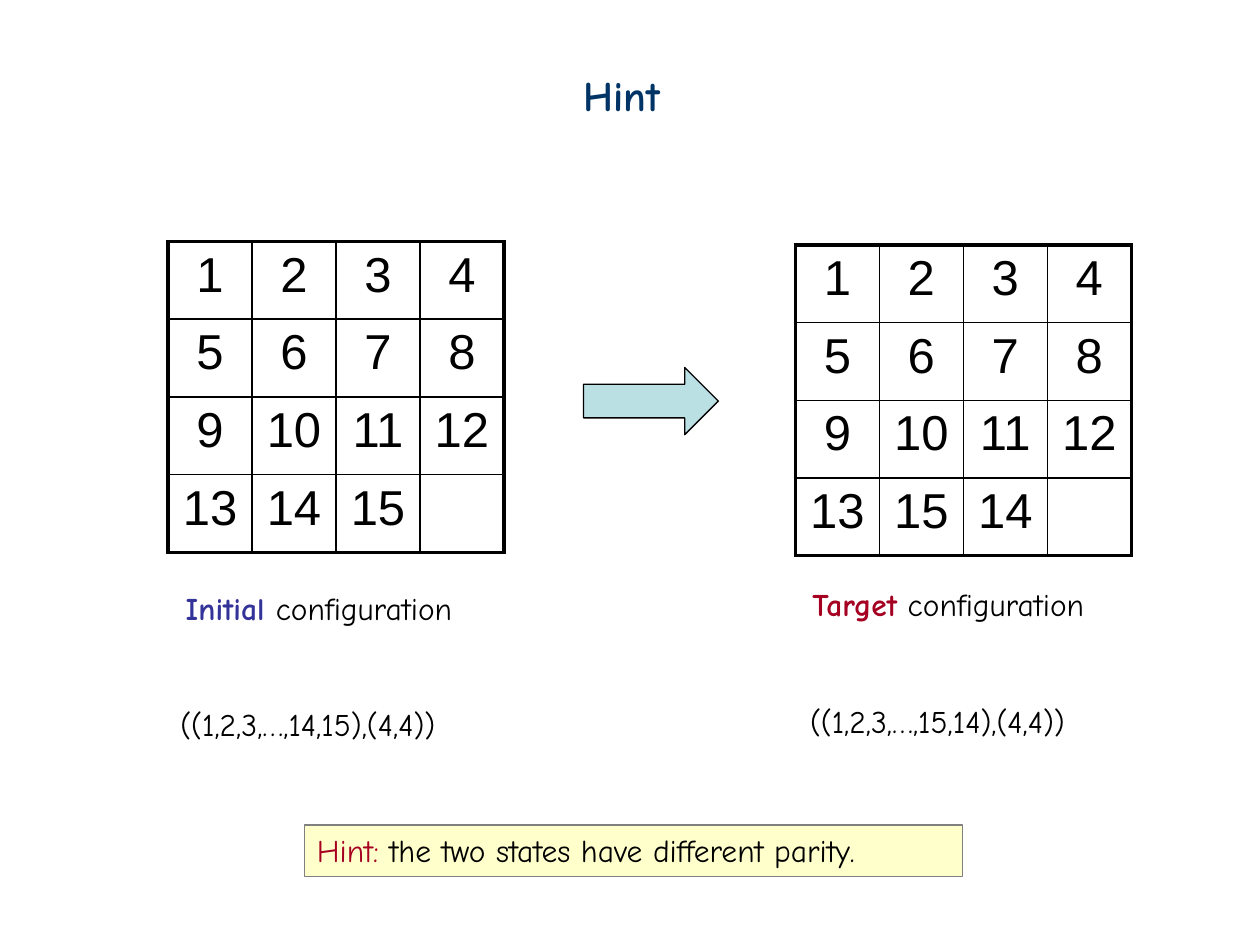
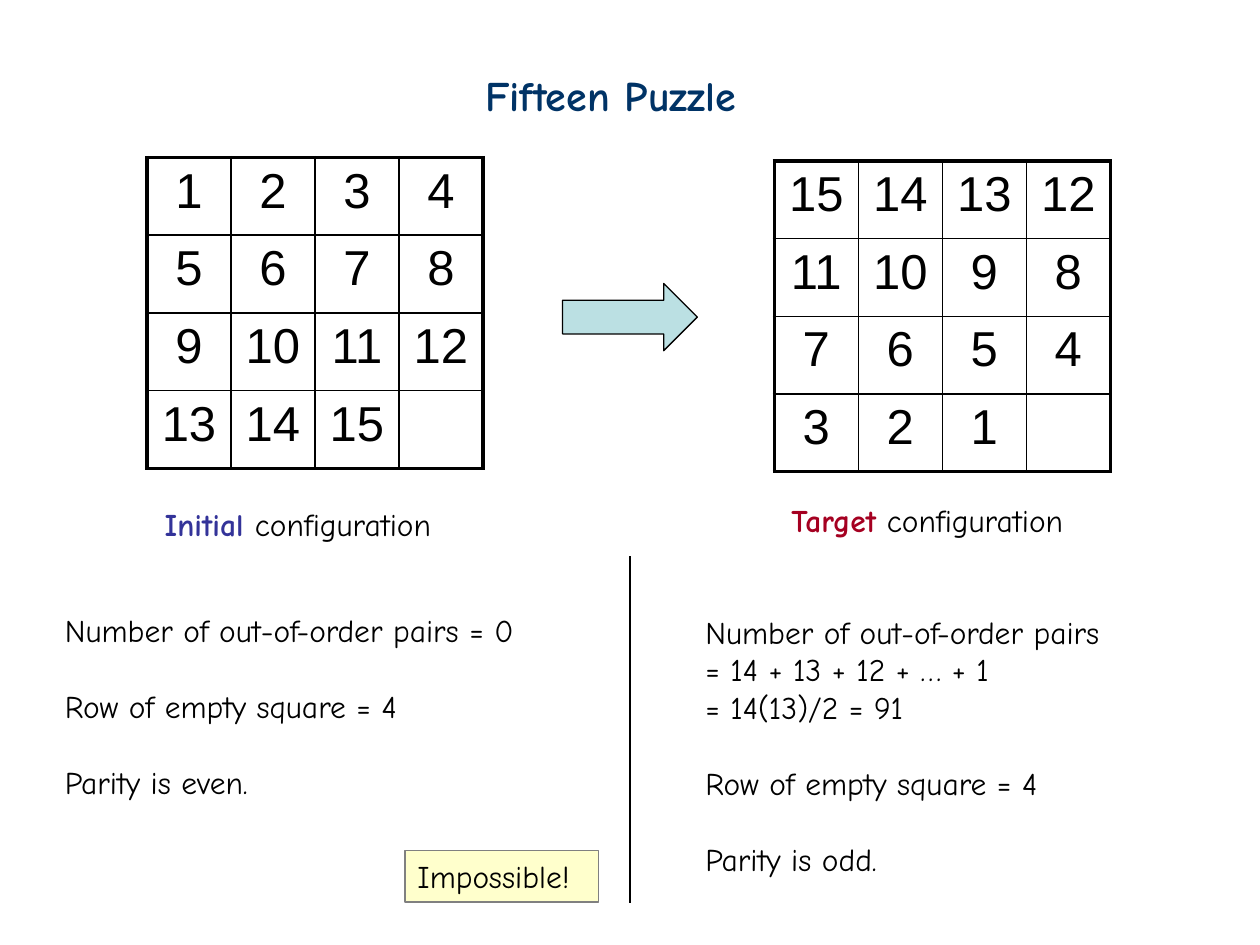
import pptx
import pptx.dml.color
import pptx.enum.shapes
import pptx.enum.text
import pptx.oxml.ns
import pptx.util
import lxml.etree

Pt = pptx.util.Pt
COLORS = {
    "title": "003366", "ink": "000000", "initial": "333399", "target": "A50021",
    "arrow": "BBE0E3", "note": "FFFFCC", "note_line": "808080",
}
TEXT_FONT, GRID_FONT = "Comic Neue", "Arial"
COLUMN_WIDTH, ROW_HEIGHT = 48, 44.4
LINE_HEIGHT = 21.7
OUTER, INNER = 2.25, 1
ordered = list(range(1, 16))


def rgb(name):
    return pptx.dml.color.RGBColor.from_string(COLORS[name])


def write_text(shape, paragraphs, size=18):
    """Each paragraph is (space before, [(text, color, bold), ...])."""
    frame = shape.text_frame
    frame.word_wrap = True
    frame.auto_size = pptx.enum.text.MSO_AUTO_SIZE.NONE
    frame.vertical_anchor = pptx.enum.text.MSO_ANCHOR.TOP
    for index, (space, runs) in enumerate(paragraphs):
        paragraph = frame.add_paragraph() if index else frame.paragraphs[0]
        paragraph.alignment = pptx.enum.text.PP_ALIGN.LEFT
        paragraph.space_before = Pt(space)
        paragraph.font.name = TEXT_FONT
        paragraph.font.size = Pt(size)
        for text, color, bold in runs:
            run = paragraph.add_run()
            run.text = text
            run.font.color.rgb = rgb(color)
            run.font.bold = bold


# What differs between the slides; boxes are left, top, width, height
slides = [
    {
        "title": "Hint", "title_box": (326, 36, 63.5, 36),
        "origin": (96, 138),
        "target": ordered[:13] + [15, 14],
        "texts": [
            ((96, 399.6, 191.5, 28.8), [(0, "((1,2,3,…,14,15),(4,4))")]),
            ((455.8, 397.4, 191.5, 28.8), [(0, "((1,2,3,…,15,14),(4,4))")]),
        ],
        "note_box": (174, 471.5, 376, 29.5),
        "note": [("Hint:", "target", False),
                 (" the two states have different parity.", "ink", False)],
        "divider": None,
    },
    {
        "title": "Fifteen Puzzle", "title_box": (270, 36, 180, 36),
        "origin": (84, 90),
        "target": ordered[::-1],
        "texts": [
            ((30, 345.6, 296.5, 115), [
                (0, "Number of out-of-order pairs = 0"),
                (LINE_HEIGHT, "Row of empty square = 4"),
                (LINE_HEIGHT, "Parity is even."),
            ]),
            ((396, 346.6, 271, 158.5), [
                (0, "Number of out-of-order pairs"),
                (0, "= 14 + 13 + 12 + … + 1"),
                (0, "= 14(13)/2 = 91"),
                (LINE_HEIGHT, "Row of empty square = 4"),
                (LINE_HEIGHT, "Parity is odd."),
            ]),
        ],
        "note_box": (231.5, 486, 110.5, 29.5),
        "note": [("Impossible!", "ink", False)],
        "divider": (360, 318, 360, 516),
    },
]

presentation = pptx.Presentation()
presentation.slide_width, presentation.slide_height = Pt(720), Pt(540)

for content in slides:
    slide = presentation.slides.add_slide(presentation.slide_layouts[5])
    left, top = content["origin"]

    # Title
    title = slide.shapes.title
    title.left, title.top, title.width, title.height = map(Pt, content["title_box"])
    write_text(title, [(0, [(content["title"], "title", True)])], size=24)

    # Puzzle grids, the last square left empty
    for numbers, grid_left, grid_top in [
        (ordered, left, top),
        (content["target"], left + 358.5, top + 2),
    ]:
        table = slide.shapes.add_table(
            4, 4, Pt(grid_left), Pt(grid_top), Pt(4 * COLUMN_WIDTH), Pt(4 * ROW_HEIGHT)
        ).table
        table.first_row = table.horz_banding = False
        for index in range(4):
            table.columns[index].width = Pt(COLUMN_WIDTH)
            table.rows[index].height = Pt(ROW_HEIGHT)
        for index in range(16):
            row, column = divmod(index, 4)
            cell = table.cell(row, column)
            if index < len(numbers):
                cell.text = str(numbers[index])
            paragraph = cell.text_frame.paragraphs[0]
            paragraph.alignment = pptx.enum.text.PP_ALIGN.CENTER
            paragraph.font.name = GRID_FONT
            paragraph.font.size = Pt(28)
            paragraph.font.color.rgb = rgb("ink")
            # Heavy border on the outside, thin lines inside
            properties = cell._tc.get_or_add_tcPr()
            for tag, on_edge in [("a:lnL", column == 0), ("a:lnR", column == 3),
                                 ("a:lnT", row == 0), ("a:lnB", row == 3)]:
                border = lxml.etree.SubElement(
                    properties, pptx.oxml.ns.qn(tag), w=str(Pt(OUTER if on_edge else INNER)))
                fill = lxml.etree.SubElement(border, pptx.oxml.ns.qn("a:solidFill"))
                lxml.etree.SubElement(fill, pptx.oxml.ns.qn("a:srgbClr"), val=COLORS["ink"])
            cell.fill.background()

    # Arrow between the grids and note box
    for kind, box, fill_color, line_color in [
        (pptx.enum.shapes.MSO_SHAPE.RIGHT_ARROW, (left + 237.5, top + 72, 77, 38.4),
         "arrow", "ink"),
        (pptx.enum.shapes.MSO_SHAPE.RECTANGLE, content["note_box"], "note", "note_line"),
    ]:
        shape = slide.shapes.add_shape(kind, *map(Pt, box))
        shape.shadow.inherit = False
        shape.fill.solid()
        shape.fill.fore_color.rgb = rgb(fill_color)
        shape.line.color.rgb = rgb(line_color)
        shape.line.width = Pt(0.75)
    write_text(shape, [(0, content["note"])])

    # Grid labels and explanations
    texts = [
        ((left + 3, top + 195, 186.5, 28.8),
         [(0, [("Initial ", "initial", True), ("configuration", "ink", False)])]),
        ((left + 361.2, top + 193, 191, 28.8),
         [(0, [("Target", "target", True), (" configuration", "ink", False)])]),
    ]
    for box, lines in content["texts"]:
        texts.append((box, [(space, [(line, "ink", False)]) for space, line in lines]))
    for box, paragraphs in texts:
        write_text(slide.shapes.add_textbox(*map(Pt, box)), paragraphs)

    # Divider between the two explanations
    if content["divider"]:
        divider = slide.shapes.add_connector(
            pptx.enum.shapes.MSO_CONNECTOR.STRAIGHT, *map(Pt, content["divider"]))
        divider.line.color.rgb = rgb("ink")
        divider.line.width = Pt(0.75)
        lxml.etree.SubElement(divider._element.spPr, pptx.oxml.ns.qn("a:effectLst"))

presentation.save("out.pptx")
